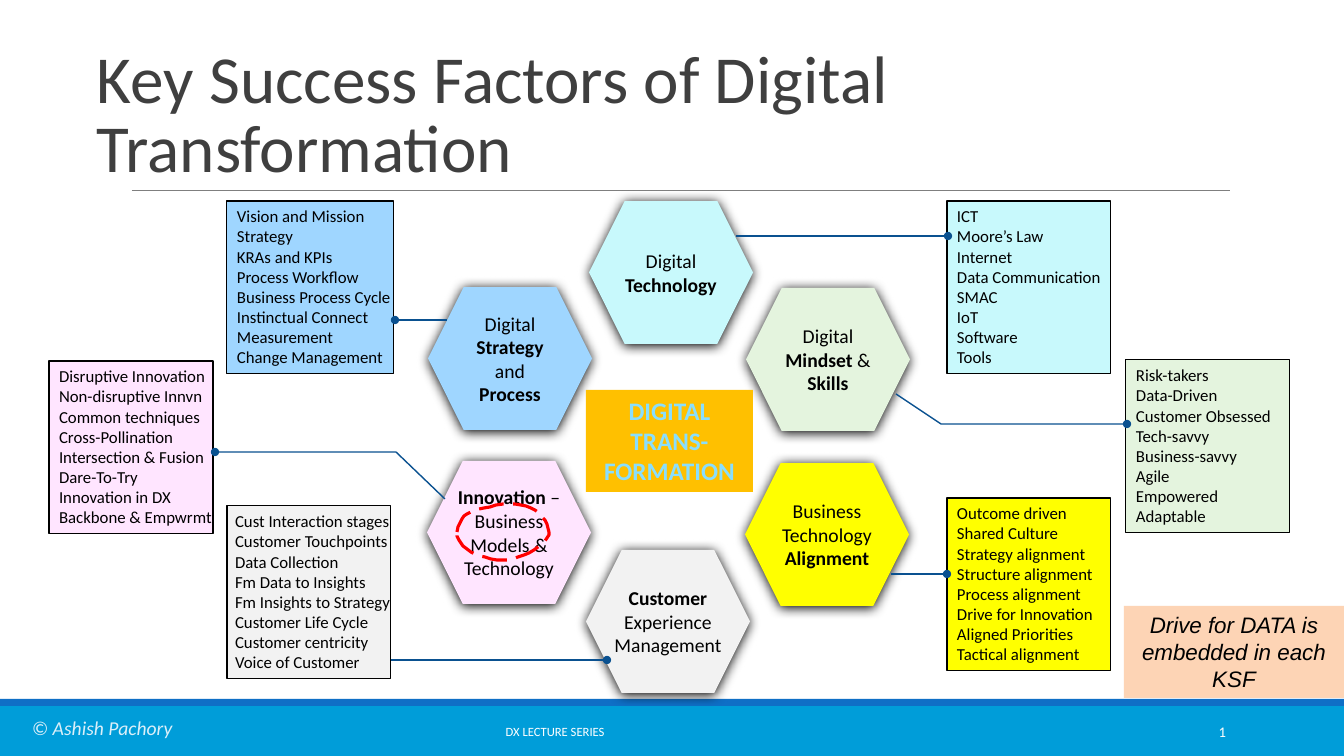
from dataclasses import dataclass

from lxml import etree
from pptx import Presentation
from pptx.dml.color import RGBColor
from pptx.enum.dml import MSO_LINE_DASH_STYLE as DASH
from pptx.enum.shapes import MSO_CONNECTOR, MSO_SHAPE
from pptx.enum.text import MSO_ANCHOR, MSO_AUTO_SIZE, PP_ALIGN
from pptx.oxml.ns import qn
from pptx.util import Pt

PX = 914400 / 100.8

BLACK = RGBColor(0x00, 0x00, 0x00)
WHITE = RGBColor(0xFF, 0xFF, 0xFF)
CHARCOAL = RGBColor(0x3F, 0x3F, 0x3F)
GREY = RGBColor(0x7F, 0x7F, 0x7F)
CYAN = RGBColor(0x00, 0x9D, 0xD9)
BLUE = RGBColor(0x0F, 0x6F, 0xC6)
NAVY = RGBColor(0x0A, 0x51, 0x90)
RED = RGBColor(0xFF, 0x00, 0x00)
PALE_BLUE = RGBColor(0xDB, 0xEF, 0xF9)
SKY = RGBColor(0x89, 0xDE, 0xFE)
AMBER = RGBColor(0xFF, 0xC0, 0x00)
PEACH = RGBColor(0xFD, 0xD4, 0xB5)
AQUA = RGBColor(0xC8, 0xF9, 0xFC)
MINT = RGBColor(0xE4, 0xF4, 0xDE)
YELLOW = RGBColor(0xFF, 0xFF, 0x00)
SILVER = RGBColor(0xF2, 0xF2, 0xF2)
PINK = RGBColor(0xFF, 0xE5, 0xFF)
AZURE = RGBColor(0x9F, 0xD6, 0xFF)


@dataclass
class Factor:
    color: RGBColor
    hexagon: tuple  # left, top
    label: list  # paragraphs of (text, bold) spans
    label_inset: int
    callout: tuple  # left, top, width
    insets: tuple  # left, right
    points: list  # leader, its dot at the last point
    items: list


FACTORS = [
    Factor(AQUA, (589, 201), [[("Digital ", False), ("Technology", True)]], 0,
           (947, 201, 164), (10, 10), [(736, 236), (948, 236)],
           ["ICT", "Moore’s Law", "Internet", "Data Communication",
            "SMAC", "IoT", "Software", "Tools"]),
    Factor(MINT, (746, 288),
           [[("Digital ", False), ("Mindset", True), (" & ", False), ("Skills", True)]], 10,
           (1126, 360, 164), (10, 10), [(896, 394), (941, 424), (1127, 424)],
           ["Risk-takers", "Data-Driven", "Customer Obsessed", "Tech-savvy",
            "Business-savvy", "Agile", "Empowered", "Adaptable"]),
    Factor(YELLOW, (745, 463), [[("Business Technology ", False), ("Alignment", True)]], 10,
           (947, 498, 164), (10, 10), [(891, 574), (947, 574)],
           ["Outcome driven", "Shared Culture", "Strategy alignment", "Structure alignment",
            "Process alignment", "Drive for Innovation", "Aligned Priorities",
            "Tactical alignment"]),
    Factor(SILVER, (586, 550), [[("Customer", True), (" Experience Management", False)]], 0,
           (227, 506, 164), (8, 0), [(391, 660), (607, 660)],
           ["Cust Interaction stages", "Customer Touchpoints", "Data Collection",
            "Fm Data to Insights", "Fm Insights to Strategy", "Customer Life Cycle",
            "Customer centricity", "Voice of Customer"]),
    Factor(PINK, (427, 461),
           [[("Innovation", True), (" –Business Models &", False)], [("Technology", False)]], 0,
           (49, 361, 164), (10, 0), [(445, 499), (396, 452), (215, 452)],
           ["Disruptive Innovation", "Non-disruptive Innvn", "Common techniques",
            "Cross-Pollination", "Intersection & Fusion", "Dare-To-Try",
            "Innovation in DX", "Backbone & Empwrmt"]),
    Factor(AZURE, (428, 287),
           [[("Digital ", False), ("Strategy ", True), ("and ", False), ("Process", True)]], 10,
           (227, 201, 167), (10, 0), [(447, 320), (395, 320)],
           ["Vision and Mission", "Strategy", "KRAs and KPIs", "Process Workflow",
            "Business Process Cycle", "Instinctual Connect", "Measurement",
            "Change Management"]),
]

# Start point, then cubic segments of the dashed ring
RING_START = (457, 532)
RING_CURVES = [
    [(460, 510), (475, 510), (503, 504)],
    [(529, 501), (547, 515), (549, 532)],
    [(550, 543), (522, 560), (503, 560)],
    [(478, 559), (457, 548), (457, 532)],
]


def px(*lengths):
    return [round(length * PX) for length in lengths]


def write(shape, paras, size, color, align=PP_ALIGN.LEFT, anchor=MSO_ANCHOR.TOP,
          insets=(10, 10), font="Calibri", bold=None, italic=None):
    """Fill a shape with paragraphs, each a string or a list of (text, bold) spans."""
    frame = shape.text_frame
    frame.word_wrap = True
    frame.auto_size = MSO_AUTO_SIZE.NONE
    frame.vertical_anchor = anchor
    frame.margin_left, frame.margin_right = px(*insets)
    frame.margin_top, frame.margin_bottom = px(5, 5)
    for number, content in enumerate(paras):
        para = frame.paragraphs[0] if number == 0 else frame.add_paragraph()
        para.alignment = align
        para.font.name, para.font.size = font, Pt(size)
        para.font.bold, para.font.italic = bold, italic
        para.font.color.rgb = color
        spans = [(content, bold)] if isinstance(content, str) else content
        for text, heavy in spans:
            span = para.add_run()
            span.text, span.font.bold = text, heavy


def add_box(page, place, fill, outline=None, kind=MSO_SHAPE.RECTANGLE):
    box = page.shapes.add_shape(kind, *px(*place))
    box.shadow.inherit = False
    box.fill.solid()
    box.fill.fore_color.rgb = fill
    if outline is None:
        box.line.fill.background()
    else:
        box.line.color.rgb = outline
        box.line.width = Pt(0.75)
    return box


def add_text(page, place, text, size, color, **style):
    write(page.shapes.add_textbox(*px(*place)), [text], size, color, **style)


def add_line(page, points, color, width):
    """Draw a connector for two points, an open outline for more."""
    if len(points) == 2:
        line = page.shapes.add_connector(MSO_CONNECTOR.STRAIGHT, *px(*points[0], *points[1]))
        etree.SubElement(line._element.spPr, qn("a:effectLst"))
    else:
        line = add_outline(page, points, False)
    line.line.color.rgb = color
    line.line.width = Pt(width)
    return line


def add_outline(page, points, closed):
    builder = page.shapes.build_freeform(*points[0], scale=PX)
    builder.add_line_segments(points[1:], close=closed)
    outline = builder.convert_to_shape()
    outline.shadow.inherit = False
    outline.fill.background()
    return outline


def add_hexagon(page, factor):
    box = add_box(page, (*factor.hexagon, 164, 143), factor.color, kind=MSO_SHAPE.HEXAGON)
    effects = box._element.spPr.find(qn("a:effectLst"))
    shadow = etree.SubElement(effects, qn("a:outerShdw"), blurRad=str(Pt(8.5)),
                              dist=str(Pt(1)), dir="5400000", algn="t", rotWithShape="0")
    etree.SubElement(shadow, qn("a:srgbClr"), val=str(BLACK))
    inset = factor.label_inset
    write(box, factor.label, 14, BLACK, PP_ALIGN.CENTER, MSO_ANCHOR.MIDDLE, (inset, inset))


def add_callout(page, factor):
    box = add_box(page, (*factor.callout, 173), factor.color, BLACK)
    write(box, factor.items, 12, BLACK, insets=factor.insets)
    leader = add_line(page, factor.points, NAVY, 1)
    etree.SubElement(leader.line._get_or_add_ln(), qn("a:tailEnd"), type="oval")


def add_ring(page, steps=12):
    points = [RING_START]
    for first, second, end in RING_CURVES:
        start = points[-1]
        for step in range(1, steps + 1):
            t = step / steps
            u = 1 - t
            points.append(tuple(u**3 * a + 3 * u * u * t * b + 3 * u * t * t * c + t**3 * d
                                for a, b, c, d in zip(start, first, second, end)))
    ring = add_outline(page, points, True)
    ring.line.color.rgb = RED
    ring.line.width = Pt(2.25)
    ring.line.dash_style = DASH.LONG_DASH


def main():
    deck = Presentation()
    deck.slide_width, deck.slide_height = px(1344, 756)
    page = deck.slides.add_slide(deck.slide_layouts[5])

    # Title and rule
    title = page.shapes.title
    title.left, title.top, title.width, title.height = px(87, 31, 1212, 160)
    write(title, ["Key Success Factors of Digital Transformation"], 48, CHARCOAL,
          anchor=MSO_ANCHOR.BOTTOM)
    title.text_frame.paragraphs[0].line_spacing = 0.85
    add_line(page, [(132, 191), (1230, 191)], GREY, 0.75)

    # Footer
    add_box(page, (0, 706, 1344, 50), CYAN)
    add_box(page, (0, 699, 1344, 7), BLUE)
    add_text(page, (406, 712, 298, 40), "DX LECTURE SERIES", 9, WHITE,
             align=PP_ALIGN.CENTER, anchor=MSO_ANCHOR.MIDDLE)
    add_text(page, (1092, 712, 144, 40), "1", 10.5, WHITE,
             align=PP_ALIGN.RIGHT, anchor=MSO_ANCHOR.MIDDLE)
    add_text(page, (22, 711, 212, 34), "© Ashish Pachory", 14, PALE_BLUE, italic=True)

    # Factors and their callouts
    for factor in FACTORS:
        add_hexagon(page, factor)
    for factor in FACTORS:
        add_callout(page, factor)

    # Centre, remark and ring
    centre = add_box(page, (586, 390, 167, 102), AMBER)
    write(centre, ["DIGITAL TRANS-FORMATION"], 18, SKY, PP_ALIGN.CENTER, bold=True)
    remark = add_box(page, (1124, 606, 220, 92), PEACH)
    write(remark, ["Drive for DATA is embedded in each KSF"], 16, BLACK, PP_ALIGN.CENTER,
          font="Arial", italic=True)
    add_ring(page)

    deck.save("out.pptx")


if __name__ == "__main__":
    main()
